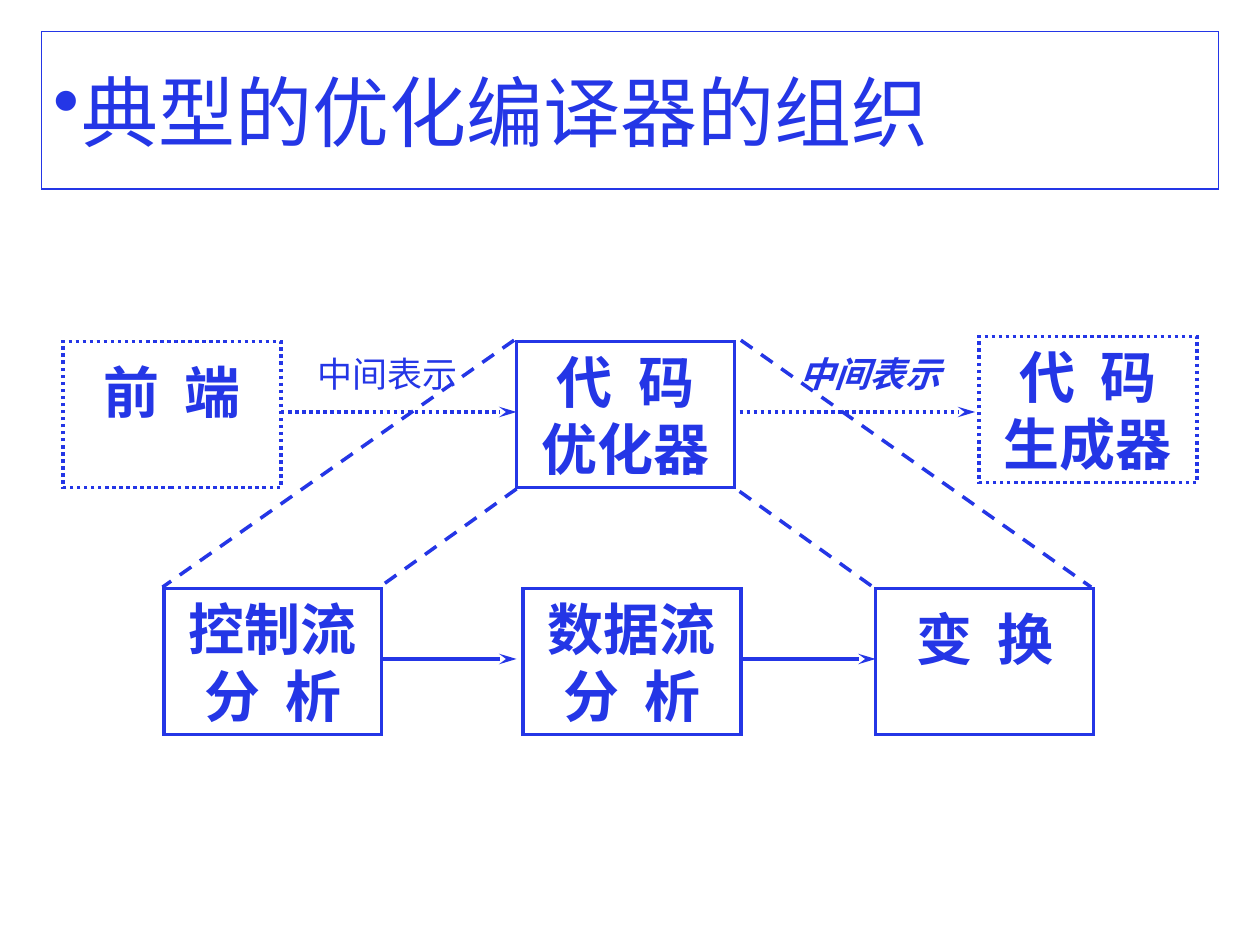
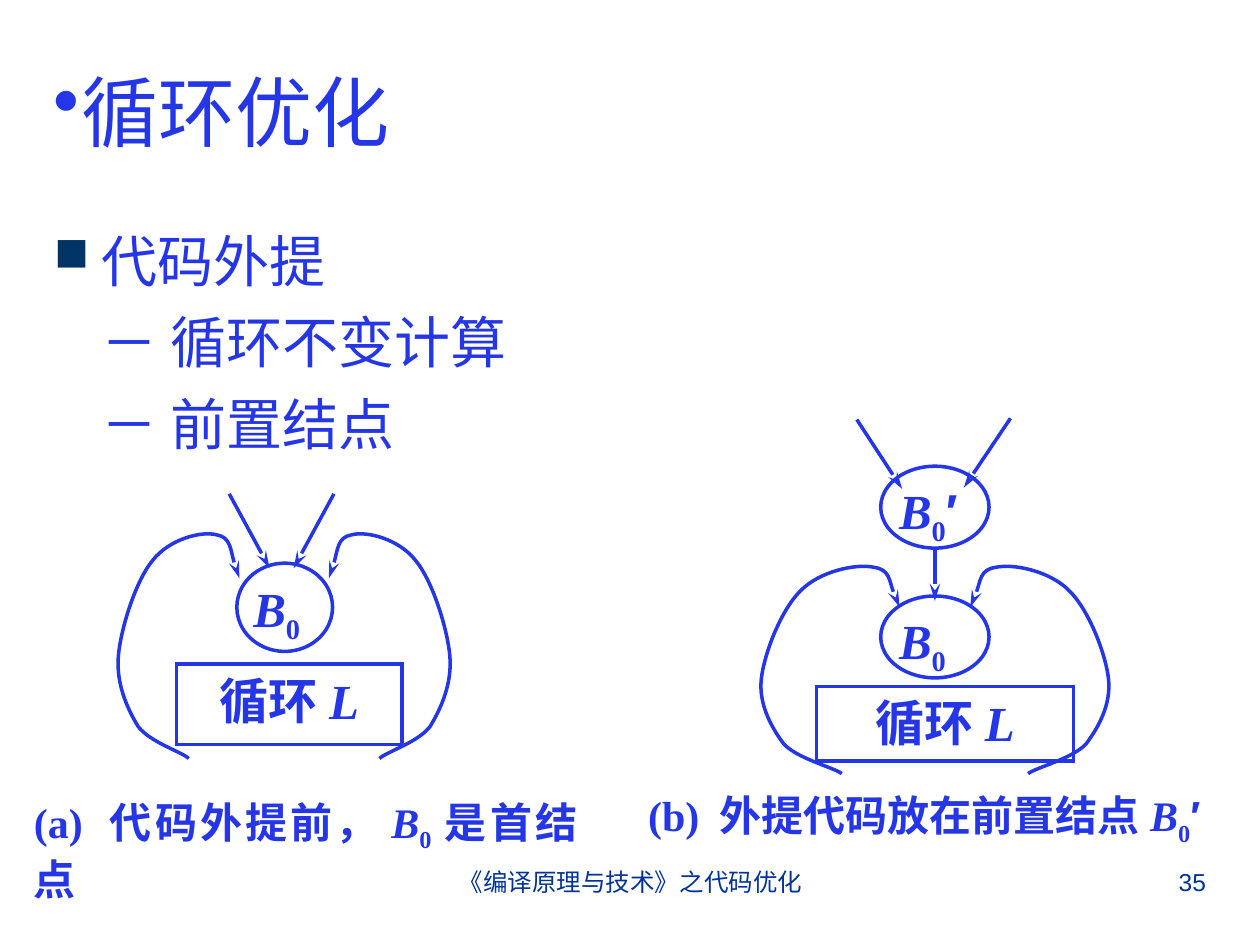
from dataclasses import dataclass
from typing import Any, NamedTuple

import pptx
import pptx.dml.color
import pptx.enum.dml
import pptx.enum.shapes
import pptx.enum.text
import pptx.oxml.ns
import pptx.util
from lxml import etree

Inches = pptx.util.Inches
ALIGN = pptx.enum.text.PP_ALIGN
ANCHOR = pptx.enum.text.MSO_ANCHOR
DASH = pptx.enum.dml.MSO_LINE
SHAPE = pptx.enum.shapes.MSO_SHAPE

COLORS = {"ink": "2436E6", "footer": "003399", "square": "003366"}
TITLE = {"name": "Arial", "size": 44}
BODY = {"name": "Arial", "size": 32}
BOX = {"name": "Times New Roman", "size": 32, "bold": True}
NODE = {**BOX, "size": 28}
CAPTION = {**BOX, "size": 24}
LABEL = {"name": "Arial", "size": 20}
FOOTER = {"name": "Arial", "size": 14, "color": "footer"}
INSETS = (0.1, 0.05, 0.1, 0.05)
TITLE_AREA = (0.33, 0.25, 9.34, 1.25)


class Area(NamedTuple):
    left: float
    top: float
    width: float
    height: float


class Run(NamedTuple):
    text: str
    format: dict[str, Any] = {}
    baseline: int = 0
    spacing: int = 0


class Line(NamedTuple):
    start: tuple[float, float]
    end: tuple[float, float]
    dash: Any = None
    arrow: bool = True


@dataclass
class Paragraph:
    runs: list[Run]
    align: Any = ALIGN.LEFT
    bullet: str = ""
    bullet_color: str = "ink"
    bullet_size: int = 100
    margin: float = 0
    indent: float = 0
    before: float = 0


@dataclass
class StageBox:
    area: Area
    lines: list[list[Run]]
    dash: Any = None


@dataclass
class LoopFigure:
    left_loop: Area
    right_loop: Area
    nodes: list[tuple[Area, list[Run]]]
    box: Area
    arrows: list[Line]
    caption: Area
    caption_text: Paragraph


def rgb(name: str) -> Any:
    return pptx.dml.color.RGBColor.from_string(COLORS[name])


def add_child(parent: Any, tag: str, **attributes: str) -> Any:
    return etree.SubElement(parent, pptx.oxml.ns.qn(tag), attributes)


# Text
def format_font(font: Any, style: dict[str, Any]) -> None:
    values = {**style, "size": pptx.util.Pt(style["size"])}
    font.color.rgb = rgb(values.pop("color", "ink"))
    for name, value in values.items():
        setattr(font, name, value)


def write_text(shape: Any, paragraphs: list[Paragraph], style: dict[str, Any],
               insets: tuple[float, ...] = INSETS, anchor: Any = ANCHOR.TOP) -> None:
    frame = shape.text_frame
    frame.word_wrap = True
    frame.vertical_anchor = anchor
    for side, inset in zip(("left", "top", "right", "bottom"), insets):
        setattr(frame, f"margin_{side}", Inches(inset))
    for index, content in enumerate(paragraphs):
        paragraph = frame.add_paragraph() if index else frame.paragraphs[0]
        paragraph.alignment = content.align
        paragraph.space_before = pptx.util.Pt(content.before)
        properties = paragraph._p.get_or_add_pPr()
        properties.set("marL", str(Inches(content.margin)))
        properties.set("indent", str(Inches(content.indent)))
        if content.bullet:
            color = add_child(properties, "a:buClr")
            add_child(color, "a:srgbClr", val=COLORS[content.bullet_color])
            add_child(properties, "a:buSzPct", val=str(content.bullet_size * 1000))
            add_child(properties, "a:buChar", char=content.bullet)
        for piece in content.runs:
            run = paragraph.add_run()
            run.text = piece.text
            format_font(run.font, {**style, **piece.format})
            for name, value in (("baseline", piece.baseline), ("spc", piece.spacing)):
                if value:
                    run._r.get_or_add_rPr().set(name, str(value))


def wide_gap(before: str, after: str) -> list[Run]:
    return [Run(before), Run(" ", spacing=700), Run(after)]


def block_name(prime: bool = False) -> list[Run]:
    runs = [Run("B", {"italic": True}), Run("0", baseline=-25000)]
    return runs + [Run("′", {"name": "Arial"})] * prime


def add_text(slide: Any, area: tuple[float, ...], paragraphs: list[Paragraph],
             style: dict[str, Any], anchor: Any = ANCHOR.TOP) -> Any:
    box = slide.shapes.add_textbox(*map(Inches, area))
    write_text(box, paragraphs, style, anchor=anchor)
    return box


def add_title(slide: Any, text: str) -> Any:
    return add_text(slide, TITLE_AREA, [Paragraph([Run(text)], bullet="•")], TITLE, ANCHOR.MIDDLE)


def add_footer(slide: Any, text: str, number: str) -> None:
    for area, words, align in (((3.42, 6.83, 3.17, 0.52), text, ALIGN.CENTER),
                               ((7.17, 6.83, 2.5, 0.52), number, ALIGN.RIGHT)):
        add_text(slide, area, [Paragraph([Run(words)], align)], FOOTER)


# Outlines, lines and curves
def draw_line(shape: Any, width: float = 2, dash: Any = None, arrow: bool = False) -> None:
    shape.line.color.rgb = rgb("ink")
    shape.line.width = pptx.util.Pt(width)
    if dash:
        shape.line.dash_style = dash
    outline = shape._element.spPr.find(pptx.oxml.ns.qn("a:ln"))
    add_child(outline, "a:miter", lim="800000")
    if arrow:
        add_child(outline, "a:tailEnd", type="stealth", w="med", len="lg")


def add_outline(slide: Any, kind: Any, area: Area, dash: Any = None) -> Any:
    shape = slide.shapes.add_shape(kind, *map(Inches, area))
    shape.shadow.inherit = False
    shape.fill.background()
    draw_line(shape, dash=dash)
    return shape


def add_line(slide: Any, line: Line) -> None:
    connector = slide.shapes.add_connector(
        pptx.enum.shapes.MSO_CONNECTOR.STRAIGHT, *map(Inches, line.start + line.end))
    draw_line(connector, dash=line.dash, arrow=line.arrow)
    add_child(connector._element.spPr, "a:effectLst")


# Back edge in a unit square: a start point, then three Bezier points per segment
BACK_EDGE = [(0.59, 1), (0.53, 0.97), (0.28, 0.93), (0.18, 0.86), (0.09, 0.78), (0, 0.67),
             (0.02, 0.55), (0.04, 0.43), (0.16, 0.22), (0.30, 0.13), (0.43, 0.04),
             (0.69, 0), (0.82, 0.02), (0.93, 0.03), (0.96, 0.17), (1, 0.21)]


def add_back_edge(slide: Any, area: Area, mirrored: bool) -> None:
    points = [(Inches(area.left + area.width * (1 - x if mirrored else x)),
               Inches(area.top + area.height * y)) for x, y in BACK_EDGE]
    builder = slide.shapes.build_freeform(*points[0])
    builder.add_line_segments(points[1:], close=False)
    curve = builder.convert_to_shape()
    steps = list(curve._element.iter(pptx.oxml.ns.qn("a:lnTo")))
    outline = steps[0].getparent()
    for first in range(0, len(steps), 3):
        bezier = add_child(outline, "a:cubicBezTo")
        for step in steps[first:first + 3]:
            bezier.append(step[0])
            outline.remove(step)
    curve.shadow.inherit = False
    curve.fill.background()
    draw_line(curve, arrow=True)


# Slide 1: compiler organisation
def stage(left: float, top: float, *lines: list[Run], dash: Any = None) -> StageBox:
    return StageBox(Area(left, top, 1.73, 1.16), list(lines), dash)


DOT = DASH.ROUND_DOT
STAGES = [
    stage(0.5, 2.71, wide_gap("前", "端"), dash=DOT),
    stage(7.77, 2.67, wide_gap("代", "码"), [Run("生成器")], dash=DOT),
    stage(4.1, 2.71, wide_gap("代", "码"), [Run("优化器")]),
    stage(6.95, 4.67, wide_gap("变", "换")),
    stage(4.15, 4.67, [Run("数据流")], wide_gap("分", "析")),
    stage(1.3, 4.67, [Run("控制流")], wide_gap("分", "析")),
]
FLOWS = [
    Line((2.23, 3.27), (4.1, 3.27), DOT), Line((5.87, 3.27), (7.74, 3.27), DOT),
    Line((3.04, 5.23), (4.1, 5.23)), Line((5.9, 5.23), (6.95, 5.23)),
]
ZOOM_LINES = [
    Line(start, end, DASH.DASH, False)
    for start, end in (((4.08, 2.7), (1.29, 4.66)), ((4.1, 3.88), (3.04, 4.64)),
                       ((5.88, 2.7), (8.66, 4.66)), ((5.87, 3.9), (6.93, 4.66)))
]


def build_compiler_slide(slide: Any) -> None:
    draw_line(add_title(slide, "典型的优化编译器的组织"), 0.75)
    for box in STAGES:
        shape = add_outline(slide, SHAPE.RECTANGLE, box.area, box.dash)
        top = 0.13 if len(box.lines) == 1 else 0.05
        write_text(shape, [Paragraph(runs, ALIGN.CENTER) for runs in box.lines], BOX,
                   (0.1, top, 0.1, 0.05))
    for line in FLOWS + ZOOM_LINES:
        add_line(slide, line)
    for left, emphasis in ((2.42, {}), (6.25, {"bold": True, "italic": True})):
        add_text(slide, (left, 2.75, 1.42, 0.44), [Paragraph([Run("中间表示", emphasis)])], LABEL)


# Slide 2: loop optimisation
FIGURES = [
    LoopFigure(
        Area(6.02, 4.47, 1.12, 1.67), Area(7.7, 4.47, 1.12, 1.67),
        [(Area(6.99, 4.73, 0.86, 0.65), block_name()),
         (Area(6.99, 3.7, 0.86, 0.65), block_name(prime=True))],
        Area(6.48, 5.45, 2.04, 0.59),
        [Line((6.8, 3.33), (7.16, 3.88)), Line((8.02, 3.32), (7.65, 3.87)),
         Line((7.42, 4.35), (7.42, 4.77))],
        Area(4.67, 6.22, 5.33, 0.61),
        Paragraph([Run("(b) 外提代码放在前置结点")] + block_name(prime=True), ALIGN.CENTER)),
    LoopFigure(
        Area(0.92, 4.21, 0.98, 1.81), Area(2.61, 4.21, 0.98, 1.81),
        [(Area(1.88, 4.47, 0.76, 0.7), block_name())],
        Area(1.4, 5.27, 1.79, 0.64),
        [Line((1.82, 3.92), (2.14, 4.51)), Line((2.65, 3.92), (2.33, 4.51))],
        Area(0.17, 6.27, 4.51, 0.65),
        Paragraph([Run("(a) 代码外提前，")] + block_name() + [Run("是首结点")], ALIGN.JUSTIFY)),
]


def add_loop_figure(slide: Any, figure: LoopFigure) -> None:
    for area, name in figure.nodes:
        node = add_outline(slide, SHAPE.OVAL, area)
        write_text(node, [Paragraph(name, ALIGN.JUSTIFY)], NODE, (0.02,) * 4)
    for line in figure.arrows:
        add_line(slide, line)
    add_back_edge(slide, figure.left_loop, mirrored=False)
    add_back_edge(slide, figure.right_loop, mirrored=True)
    loop = add_outline(slide, SHAPE.RECTANGLE, figure.box)
    loop_name = [Run("循环"), Run("L", {"italic": True})]
    write_text(loop, [Paragraph(loop_name, ALIGN.CENTER)], NODE)
    add_text(slide, figure.caption, [figure.caption_text], CAPTION)


def build_loop_slide(slide: Any) -> None:
    add_footer(slide, "《编译原理与技术》之代码优化", "35")
    add_title(slide, "循环优化")
    topic = Paragraph([Run("代码外提")], bullet="■", bullet_color="square", bullet_size=85,
                      margin=0.38, indent=-0.38)
    details = [Paragraph([Run(f"－ {text}")], margin=0.38, before=8)
               for text in ("循环不变计算", "前置结点")]
    add_text(slide, (0.33, 1.75, 9.34, 4.92), [topic, *details], BODY)
    for figure in FIGURES:
        add_loop_figure(slide, figure)


def main() -> None:
    presentation = pptx.Presentation()
    presentation.slide_width, presentation.slide_height = Inches(10), Inches(7.5)
    for build in (build_compiler_slide, build_loop_slide):
        build(presentation.slides.add_slide(presentation.slide_layouts[6]))
    presentation.save("out.pptx")


if __name__ == "__main__":
    main()
